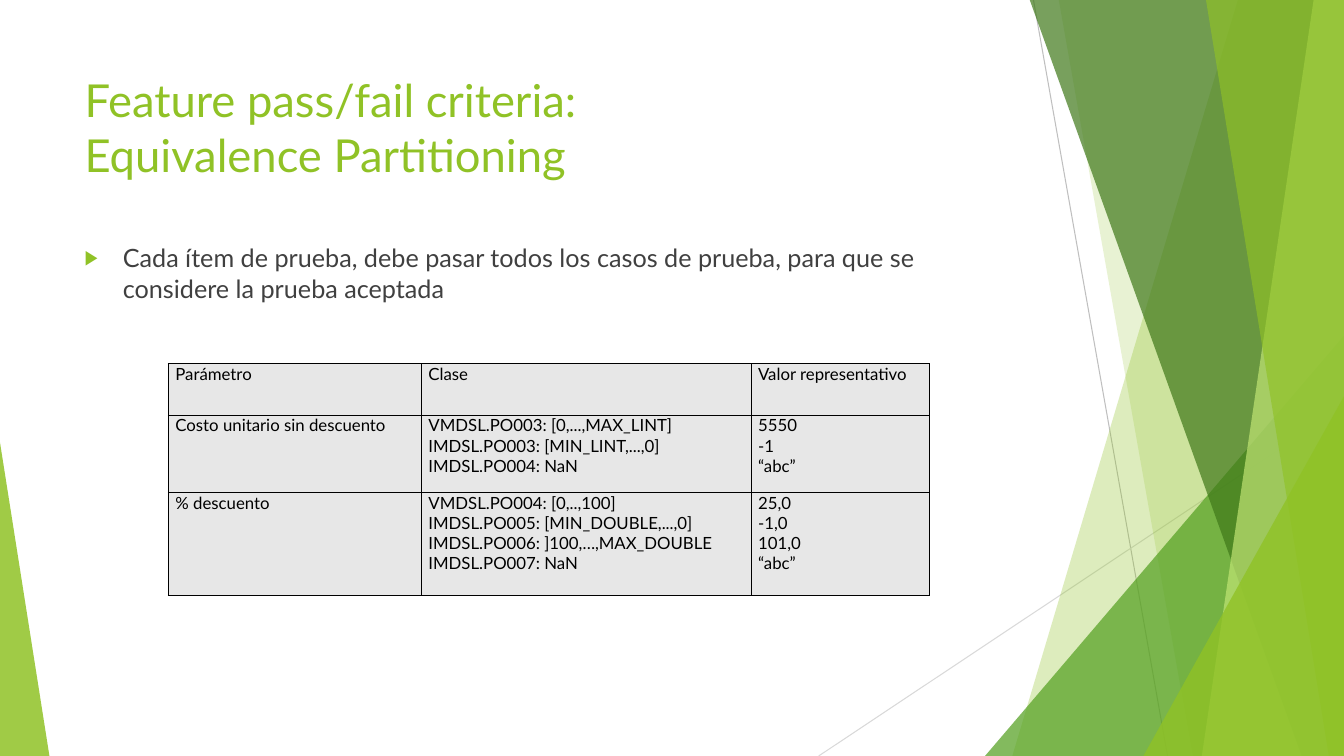
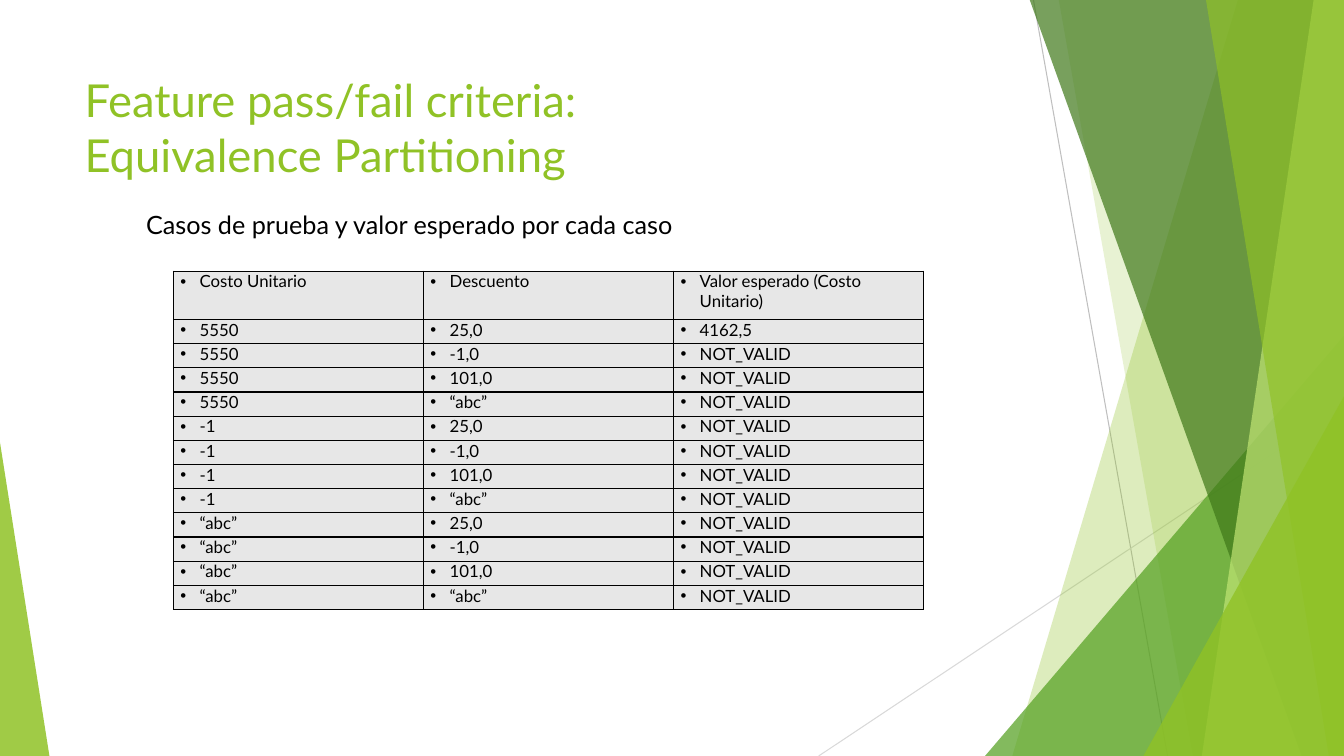
"""Build two test-criteria slides with shared green facets and bordered tables."""
from dataclasses import dataclass
from itertools import product
from typing import Any

from lxml import etree
from pptx import Presentation
from pptx.dml.color import RGBColor
from pptx.enum import shapes, text
from pptx.oxml import ns
from pptx.util import Inches, Pt


@dataclass(frozen=True)
class Theme:
    """Colours, font and type sizes of the deck."""
    lime: str = "90C226"
    green: str = "54A021"
    forest: str = "3F7819"
    pale: str = "C0E474"
    silver: str = "BFBFBF"
    mist: str = "D9D9D9"
    gray: str = "404040"
    black: str = "000000"
    cell: str = "E7E7E7"
    font: str = "Lato"
    title_size: float = 32.4
    body_size: float = 18
    table_size: float = 12
    hairline: float = 0.75
    border: float = 1


@dataclass(frozen=True)
class Box:
    """Position and size in inches."""
    left: float
    top: float
    width: float
    height: float

    def lengths(self) -> tuple:
        """Return the four values as lengths."""
        return tuple(map(Inches, (self.left, self.top, self.width, self.height)))


@dataclass(frozen=True)
class Ray:
    """Thin diagonal line."""
    start: tuple[float, float]
    end: tuple[float, float]
    color: str


@dataclass(frozen=True)
class Band:
    """Translucent panel running from its slanted left edge to the slide's right edge."""
    top_x: float
    bottom_x: float
    color: str
    opacity: int


@dataclass(frozen=True)
class Wedge:
    """Translucent triangle with its apex at the given share of its width."""
    box: Box
    apex: float
    color: str
    opacity: int


@dataclass(frozen=True)
class Bullet:
    """Bullet character with its hanging indent in inches."""
    character: str
    indent: float
    color: str
    percent: int = 100


@dataclass(frozen=True)
class Grid:
    """Table content and its measures in inches."""
    left: float
    top: float
    widths: list[float]
    heights: list[float]
    rows: list[tuple[str, ...]]
    bullet: Bullet | None = None


THEME = Theme()
SLIDE_WIDTH, SLIDE_HEIGHT, BAND_TOP = 13.33, 7.5, -0.01
TITLE = "Feature pass/fail criteria:\vEquivalence Partitioning"
TITLE_BOX = Box(0.74, 0.67, 9.4, 1.44)
FACETS = [
    Ray((10.25, 0), (11.58, 7.5), THEME.silver),
    Ray((13.33, 4.03), (8.12, 7.5), THEME.mist),
    Band(12.28, 10.04, THEME.lime, 30),
    Band(10.5, 11.83, THEME.lime, 20),
    Wedge(Box(9.77, 3.33, 3.56, 4.17), 1, THEME.green, 72),
    Band(10.21, 12.91, THEME.forest, 70),
    Band(13.03, 11.92, THEME.pale, 70),
    Band(11.96, 13.18, THEME.lime, 65),
    Wedge(Box(11.34, 3.93, 1.99, 3.57), 1, THEME.lime, 80),
    Wedge(Box(0, 4.39, 0.49, 3.11), 0, THEME.lime, 85),
]
BODY_BULLET = Bullet("▶", 0.38, THEME.lime, 80)
TABLE_BULLET = Bullet("•", 0.19, THEME.black)

CLASSES = Grid(
    1.67, 3.61, [2.51, 3.27, 1.77], [0.51, 0.77, 1.02],
    [
        ("Parámetro", "Clase", "Valor representativo"),
        ("Costo unitario sin descuento",
         "VMDSL.PO003: [0,...,MAX_LINT]\nIMDSL.PO003: [MIN_LINT,...,0]\nIMDSL.PO004: NaN",
         "5550\n-1\n“abc”"),
        ("% descuento",
         "VMDSL.PO004: [0,..,100]\nIMDSL.PO005: [MIN_DOUBLE,...,0]\n"
         "IMDSL.PO006: ]100,…,MAX_DOUBLE\nIMDSL.PO007: NaN",
         "25,0\n-1,0\n101,0\n“abc”"),
    ],
)
COSTS = ["5550", "-1", "“abc”"]
DISCOUNTS = ["25,0", "-1,0", "101,0", "“abc”"]
EXPECTED = {("5550", "25,0"): "4162,5"}
CASES = Grid(
    1.72, 2.69, [2.48] * 3, [0.48] + [0.24] * 12,
    [("Costo Unitario", "Descuento", "Valor esperado (Costo Unitario)")]
    + [(*case, EXPECTED.get(case, "NOT_VALID")) for case in product(COSTS, DISCOUNTS)],
    TABLE_BULLET,
)


def apply_format(target: Any, values: dict[str, Any]) -> None:
    """Set every named attribute on the target."""
    for name, value in values.items():
        setattr(target, name, value)


def add_element(parent: Any, tag: str, **attributes: str) -> Any:
    """Append a DrawingML element to the parent."""
    return etree.SubElement(parent, ns.qn(f"a:{tag}"), attributes)


def add_bullet(paragraph: Any, bullet: Bullet) -> None:
    """Give the paragraph a hanging bullet."""
    properties = paragraph._p.get_or_add_pPr()
    indent = Inches(bullet.indent)
    properties.set("marL", str(indent))
    properties.set("indent", str(-indent))
    add_element(add_element(properties, "buClr"), "srgbClr", val=bullet.color)
    add_element(properties, "buSzPct", val=str(bullet.percent * 1000))
    add_element(properties, "buFont", typeface="Arial")
    add_element(properties, "buChar", char=bullet.character)


def write_text(frame: Any, content: str, size: float, color: str,
               bullet: Bullet | None = None) -> None:
    """Fill the text frame in the deck's font."""
    frame.text = content
    for paragraph in frame.paragraphs:
        if bullet:
            add_bullet(paragraph, bullet)
        for run in paragraph.runs:
            apply_format(run.font, {"name": THEME.font, "size": Pt(size)})
            run.font.color.rgb = RGBColor.from_string(color)


def add_text(slide: Any, box: Box, content: str, size: float, color: str,
             bullet: Bullet | None = None) -> None:
    """Add a wrapped text box."""
    frame = slide.shapes.add_textbox(*box.lengths()).text_frame
    apply_format(frame, {"word_wrap": True, "vertical_anchor": text.MSO_ANCHOR.TOP})
    write_text(frame, content, size, color, bullet)


def paint(shape: Any, color: str, opacity: int) -> None:
    """Give the shape a translucent fill with no line or shadow."""
    shape.shadow.inherit = False
    shape.line.fill.background()
    shape.fill.solid()
    shape.fill.fore_color.rgb = RGBColor.from_string(color)
    add_element(next(shape.element.iter(ns.qn("a:srgbClr"))), "alpha", val=str(opacity * 1000))


def draw_ray(slide: Any, ray: Ray) -> None:
    """Draw a thin diagonal line."""
    points = map(Inches, (*ray.start, *ray.end))
    connector = slide.shapes.add_connector(shapes.MSO_CONNECTOR.STRAIGHT, *points)
    connector.line.color.rgb = RGBColor.from_string(ray.color)
    connector.line.width = Pt(THEME.hairline)
    add_element(connector.element.spPr, "effectLst")


def draw_band(slide: Any, band: Band) -> None:
    """Draw a slanted panel."""
    corners = [(Inches(x), Inches(y)) for x, y in (
        (band.top_x, BAND_TOP), (SLIDE_WIDTH, BAND_TOP),
        (SLIDE_WIDTH, SLIDE_HEIGHT), (band.bottom_x, SLIDE_HEIGHT))]
    builder = slide.shapes.build_freeform(*corners[0])
    builder.add_line_segments(corners[1:], close=True)
    paint(builder.convert_to_shape(), band.color, band.opacity)


def draw_wedge(slide: Any, wedge: Wedge) -> None:
    """Draw a triangle."""
    shape = slide.shapes.add_shape(shapes.MSO_SHAPE.ISOSCELES_TRIANGLE, *wedge.box.lengths())
    shape.adjustments[0] = wedge.apex
    paint(shape, wedge.color, wedge.opacity)


DRAWERS = {Ray: draw_ray, Band: draw_band, Wedge: draw_wedge}


def add_borders(properties: Any) -> None:
    """Draw solid borders on all four sides of a cell."""
    for side in ("lnL", "lnR", "lnT", "lnB"):
        line = add_element(properties, side, w=str(Pt(THEME.border)))
        add_element(add_element(line, "solidFill"), "srgbClr", val=THEME.black)


def add_grid(slide: Any, grid: Grid) -> None:
    """Add a bordered table."""
    box = Box(grid.left, grid.top, sum(grid.widths), sum(grid.heights))
    table = slide.shapes.add_table(len(grid.heights), len(grid.widths), *box.lengths()).table
    apply_format(table, {"first_row": False, "horz_banding": False})
    for column, width in zip(table.columns, grid.widths):
        column.width = Inches(width)
    for row, height, contents in zip(table.rows, grid.heights, grid.rows):
        row.height = Inches(height)
        for cell, content in zip(row.cells, contents):
            apply_format(cell, {"margin_left": Inches(0.07), "margin_right": Inches(0.07),
                                "margin_top": 0, "margin_bottom": 0})
            add_borders(cell._tc.get_or_add_tcPr())
            cell.fill.solid()
            cell.fill.fore_color.rgb = RGBColor.from_string(THEME.cell)
            write_text(cell.text_frame, content, THEME.table_size, THEME.black, grid.bullet)


def add_slide(presentation: Any) -> Any:
    """Add a blank slide with the shared facets and title."""
    slide = presentation.slides.add_slide(presentation.slide_layouts[6])
    for facet in FACETS:
        DRAWERS[type(facet)](slide, facet)
    add_text(slide, TITLE_BOX, TITLE, THEME.title_size, THEME.lime)
    return slide


def main() -> None:
    """Build and save the presentation."""
    presentation = Presentation()
    apply_format(presentation, {"slide_width": Inches(SLIDE_WIDTH),
                                "slide_height": Inches(SLIDE_HEIGHT)})
    criteria = add_slide(presentation)
    add_text(criteria, Box(0.74, 2.36, 9.4, 0.73),
             "Cada ítem de prueba, debe pasar todos los casos de prueba, "
             "para que se considere la prueba aceptada",
             THEME.body_size, THEME.gray, BODY_BULLET)
    add_grid(criteria, CLASSES)

    cases = add_slide(presentation)
    add_grid(cases, CASES)
    add_text(cases, Box(1.35, 2.03, 6.08, 0.4),
             "Casos de prueba y valor esperado por cada caso", THEME.body_size, THEME.black)
    presentation.save("out.pptx")


main()
